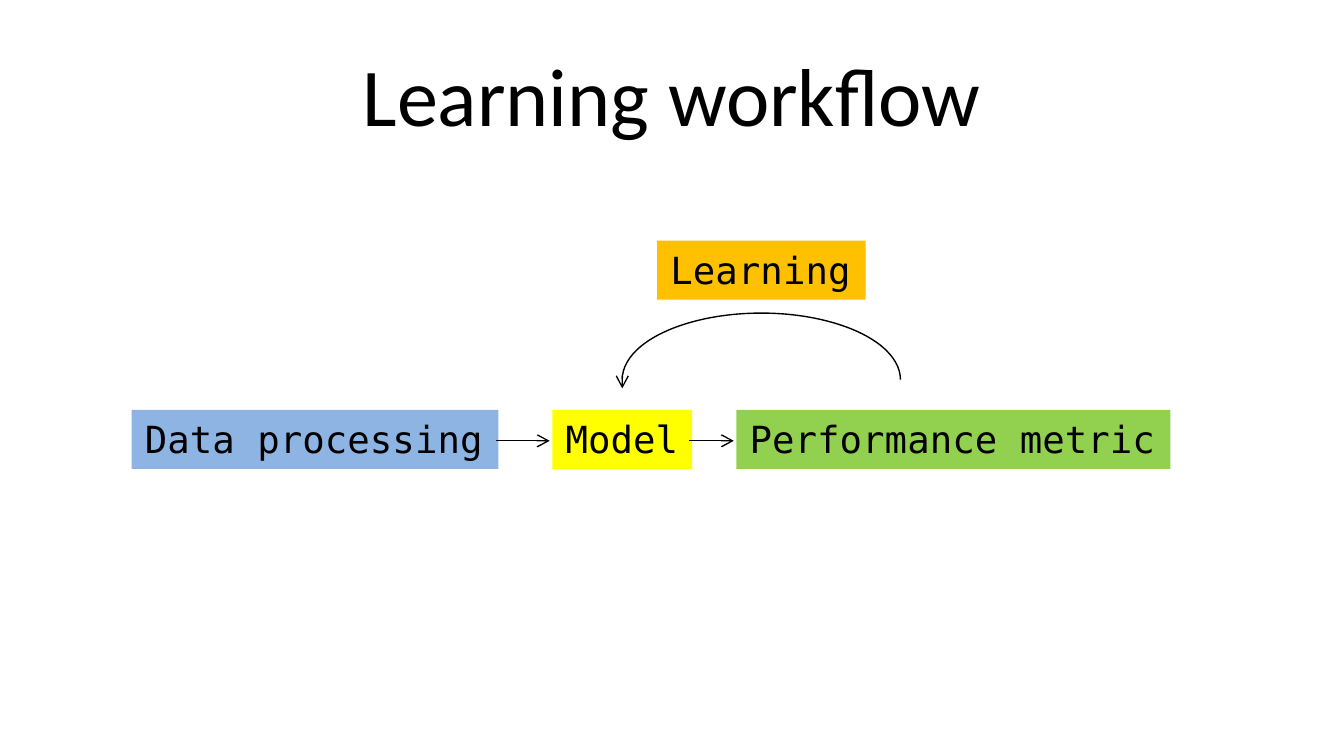
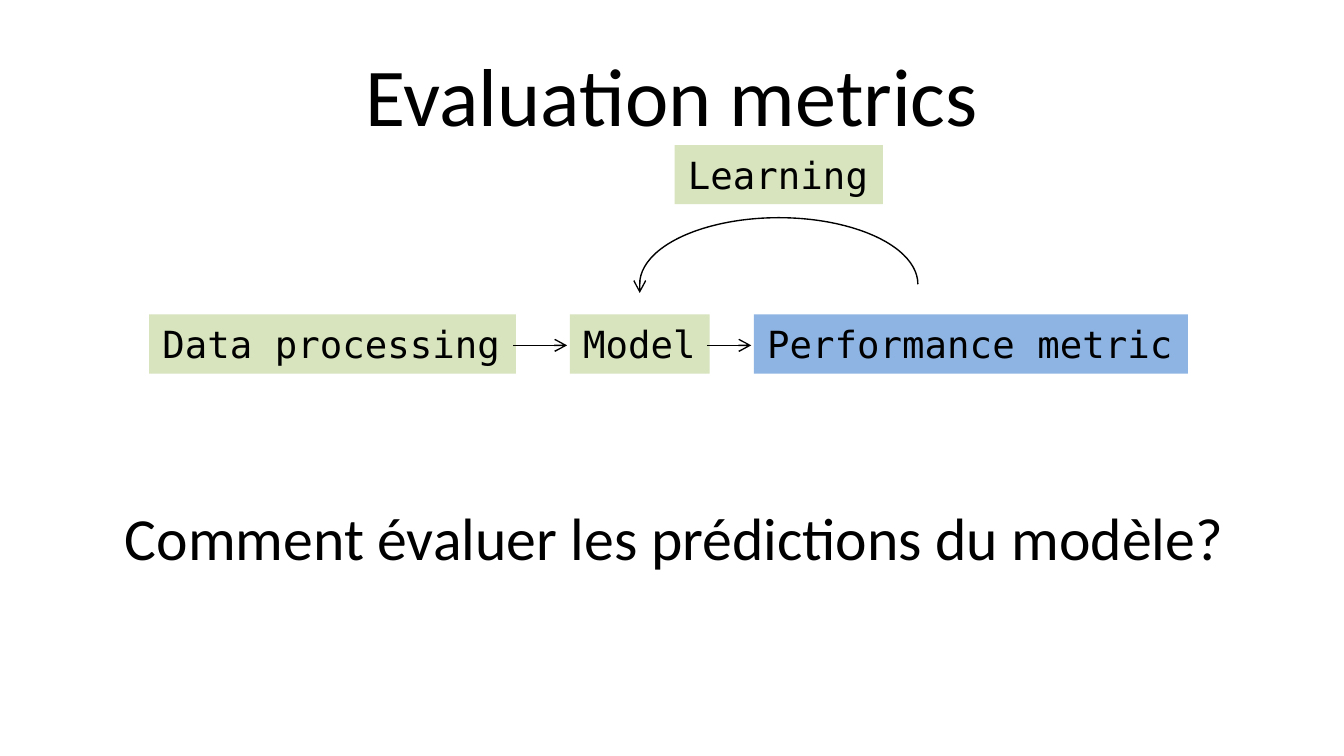
from lxml.etree import SubElement
from pptx import Presentation
from pptx.dml.color import RGBColor
from pptx.enum.shapes import MSO_CONNECTOR, MSO_SHAPE
from pptx.enum.text import MSO_ANCHOR, MSO_AUTO_SIZE, PP_ALIGN
from pptx.oxml.ns import qn
from pptx.util import Inches, Pt

COLORS = {
    "text": "000000",
    "blue": "8EB4E3",
    "yellow": "FFFF00",
    "green": "92D050",
    "orange": "FFC000",
    "muted": "D7E4BD",
}
BODY_FONT = "Calibri"
CODE_FONT = "DejaVu Sans Mono"
BOX_HEIGHT = 0.44
STEPS = [
    ("Data processing", 0, 2.73),
    ("Model", 3.13, 1.04),
    ("Performance metric", 4.5, 3.23),
]


def rgb(name):
    return RGBColor.from_string(COLORS[name])


def write(tf, text, font=BODY_FONT, size=20, color="text", align=PP_ALIGN.LEFT):
    p = tf.paragraphs[0]
    p.alignment = align
    r = p.add_run()
    r.text = text
    r.font.name = font
    r.font.size = Pt(size)
    r.font.color.rgb = rgb(color)


def add_title(slide, text):
    sp = slide.shapes.title
    sp.left, sp.top = Inches(0.5), Inches(0.23)
    sp.width, sp.height = Inches(9), Inches(0.94)
    tf = sp.text_frame
    tf.auto_size = MSO_AUTO_SIZE.NONE
    tf.vertical_anchor = MSO_ANCHOR.MIDDLE
    write(tf, text, size=44, align=PP_ALIGN.CENTER)


def add_label(slide, text, x, y, w, h=BOX_HEIGHT, fill=None, **fmt):
    sp = slide.shapes.add_textbox(Inches(x), Inches(y), Inches(w), Inches(h))
    if fill:
        sp.fill.solid()
        sp.fill.fore_color.rgb = rgb(fill)
    tf = sp.text_frame
    tf.word_wrap = False
    tf.auto_size = MSO_AUTO_SIZE.SHAPE_TO_FIT_TEXT
    write(tf, text, **fmt)


def style_line(line):
    line.color.rgb = rgb("text")
    line.width = Pt(0.75)


def add_arrow(slide, x1, y1, x2, y2):
    cx = slide.shapes.add_connector(
        MSO_CONNECTOR.STRAIGHT, Inches(x1), Inches(y1), Inches(x2), Inches(y2)
    )
    style_line(cx.line)
    sp_pr = cx._element.spPr
    SubElement(sp_pr.find(qn("a:ln")), qn("a:tailEnd"), type="arrow")
    SubElement(sp_pr, qn("a:effectLst"))


def add_arc(slide, x, y, w, h):
    sp = slide.shapes.add_shape(
        MSO_SHAPE.ARC, Inches(x), Inches(y), Inches(w), Inches(h)
    )
    sp.adjustments[0] = 108.09
    sp.adjustments[1] = 0
    sp.shadow.inherit = False
    sp.fill.background()
    style_line(sp.line)


def add_workflow(slide, x, y, step_fills, learning_fill):
    for (text, dx, w), fill in zip(STEPS, step_fills):
        add_label(slide, text, x + dx, y, w, fill=fill, font=CODE_FONT)
    for (_, dx, w), (_, next_dx, _) in zip(STEPS, STEPS[1:]):
        add_arrow(slide, x + dx + w - 0.02, y + 0.23, x + next_dx - 0.02, y + 0.23)
    arc_x = x + 3.65
    add_arc(slide, arc_x, y - 0.72, 2.07, 0.99)
    add_arrow(slide, arc_x, y - 0.23, arc_x, y - 0.16)
    add_label(
        slide, "Learning", x + 3.91, y - 1.26, 1.55, fill=learning_fill, font=CODE_FONT
    )


def add_slide(prs, title):
    slide = prs.slides.add_slide(prs.slide_layouts[5])
    add_title(slide, title)
    return slide


def main():
    prs = Presentation()
    prs.slide_width = Inches(10)
    prs.slide_height = prs.slide_width * 9 // 16

    slide = add_slide(prs, "Learning workflow")
    add_workflow(slide, 0.98, 3.05, ["blue", "yellow", "green"], "orange")

    slide = add_slide(prs, "Evaluation metrics")
    add_workflow(slide, 1.11, 2.34, ["muted", "muted", "blue"], "muted")
    add_label(
        slide, "Comment évaluer les prédictions du modèle?", 0.83, 3.68, 8.63, 0.64, size=32
    )

    prs.save("out.pptx")


if __name__ == "__main__":
    main()
